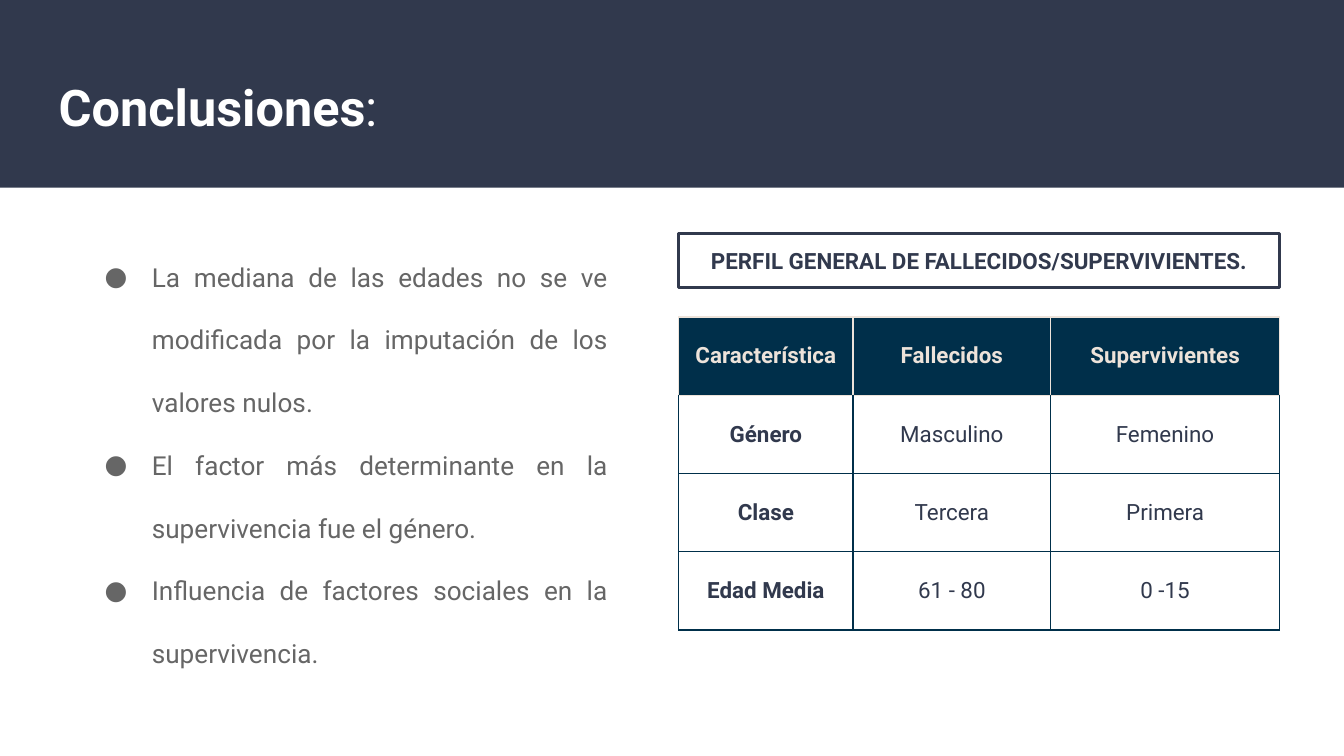
from lxml import etree
from pptx import Presentation
from pptx.dml.color import RGBColor
from pptx.enum.shapes import MSO_SHAPE
from pptx.enum.text import MSO_ANCHOR, MSO_AUTO_SIZE, PP_ALIGN
from pptx.oxml.ns import qn
from pptx.util import Cm, Pt

RECTANGLE = MSO_SHAPE.RECTANGLE
TOP, MIDDLE = MSO_ANCHOR.TOP, MSO_ANCHOR.MIDDLE
NO_AUTOFIT = MSO_AUTO_SIZE.NONE
LEFT, CENTER, JUSTIFY = PP_ALIGN.LEFT, PP_ALIGN.CENTER, PP_ALIGN.JUSTIFY

FONT = "Roboto"
NAVY, WHITE, GREY = "31394D", "FFFFFF", "666666"
TEAL, CREAM = "002F4A", "EDE3DA"
MARGIN = Cm(0.25)


def rgb(hex_color):
    return RGBColor.from_string(hex_color)


def write(paragraph, text, size, color, bold=False, align=LEFT):
    paragraph.alignment = align
    run = paragraph.add_run()
    run.text = text
    for name, value in {"name": FONT, "size": Pt(size), "bold": bold}.items():
        setattr(run.font, name, value)
    run.font.color.rgb = rgb(color)


prs = Presentation()
prs.slide_width, prs.slide_height = Cm(25.4), Cm(14.29)
slide = prs.slides.add_slide(prs.slide_layouts[5])
shapes = slide.shapes

# Header band, behind the title
title = shapes.title
band = shapes.add_shape(RECTANGLE, 0, 0, prs.slide_width, Cm(3.55))
band.shadow.inherit = False
band.fill.solid()
band.fill.fore_color.rgb = rgb(NAVY)
band.line.fill.background()
title._element.addprevious(band._element)

# Text holders: title, profile heading and conclusions
heading = shapes.add_shape(RECTANGLE, Cm(12.83), Cm(4.42), Cm(11.35), Cm(1.02))
heading.shadow.inherit = False
heading.fill.background()
heading.line.color.rgb = rgb(NAVY)
heading.line.width = Pt(1.5)
conclusions = shapes.add_textbox(Cm(1.35), Cm(4.09), Cm(10.39), Cm(9.53))

title_place = {"left": Cm(0.86), "top": Cm(1.14), "width": Cm(23.67), "height": Cm(1.73)}
for name, value in title_place.items():
    setattr(title, name, value)

for holder, anchor in ((title, MIDDLE), (heading, MIDDLE), (conclusions, TOP)):
    frame_format = {
        "auto_size": NO_AUTOFIT, "word_wrap": True, "vertical_anchor": anchor,
        "margin_left": MARGIN, "margin_right": MARGIN,
        "margin_top": MARGIN, "margin_bottom": MARGIN,
    }
    for name, value in frame_format.items():
        setattr(holder.text_frame, name, value)

title_line = title.text_frame.paragraphs[0]
write(title_line, "Conclusiones", 27, WHITE, True)
write(title_line, ":", 27, WHITE)
write(heading.text_frame.paragraphs[0],
      "PERFIL GENERAL DE FALLECIDOS/SUPERVIVIENTES.", 12, NAVY, True, CENTER)

# Bulleted conclusions
findings = [
    "La mediana de las edades no se ve modificada por la imputación de los valores nulos.",
    "El factor más determinante en la supervivencia fue el género.",
    "Influencia de factores sociales en la supervivencia.",
]
for i, finding in enumerate(findings):
    frame = conclusions.text_frame
    paragraph = frame.add_paragraph() if i else frame.paragraphs[0]
    properties = paragraph._p.get_or_add_pPr()
    properties.set("marL", str(Cm(1.27)))
    properties.set("indent", str(-Cm(0.89)))
    bullet_color = etree.SubElement(properties, qn("a:buClr"))
    etree.SubElement(bullet_color, qn("a:srgbClr"), val=GREY)
    etree.SubElement(properties, qn("a:buFont"), typeface=FONT)
    etree.SubElement(properties, qn("a:buChar"), char="●")
    paragraph.line_spacing = 2.0
    write(paragraph, finding, 14, GREY, align=JUSTIFY)

# Profile table
profile = [
    ["Característica", "Fallecidos", "Supervivientes"],
    ["Género", "Masculino", "Femenino"],
    ["Clase", "Tercera", "Primera"],
    ["Edad Media", "61 - 80", "0 -15"],
]
column_widths = [3.29, 3.74, 4.32]
row_height = 1.48
table = shapes.add_table(len(profile), len(column_widths), Cm(12.83), Cm(5.99),
                         Cm(sum(column_widths)), Cm(row_height * len(profile))).table
table.first_row = table.horz_banding = False
for column, width in zip(table.columns, column_widths):
    column.width = Cm(width)

cell_format = {
    "vertical_anchor": MIDDLE, "margin_left": MARGIN, "margin_right": MARGIN,
    "margin_top": MARGIN, "margin_bottom": MARGIN,
}
for r, row in enumerate(profile):
    table.rows[r].height = Cm(row_height)
    for c, text in enumerate(row):
        cell = table.cell(r, c)
        for name, value in cell_format.items():
            setattr(cell, name, value)
        is_header = r == 0
        write(cell.text_frame.paragraphs[0], text, 12,
              CREAM if is_header else NAVY, is_header or c == 0, CENTER)

        # Cream borders around the header, teal ones elsewhere
        cell_properties = cell._tc.get_or_add_tcPr()
        for side in ("lnL", "lnR", "lnT", "lnB"):
            cream_side = is_header or (r == 1 and side == "lnT")
            border = etree.SubElement(cell_properties, qn(f"a:{side}"), w=str(Pt(0.75)))
            border_fill = etree.SubElement(border, qn("a:solidFill"))
            etree.SubElement(border_fill, qn("a:srgbClr"), val=CREAM if cream_side else TEAL)

        if is_header:
            cell.fill.solid()
            cell.fill.fore_color.rgb = rgb(TEAL)
        else:
            cell.fill.background()

prs.save("out.pptx")
